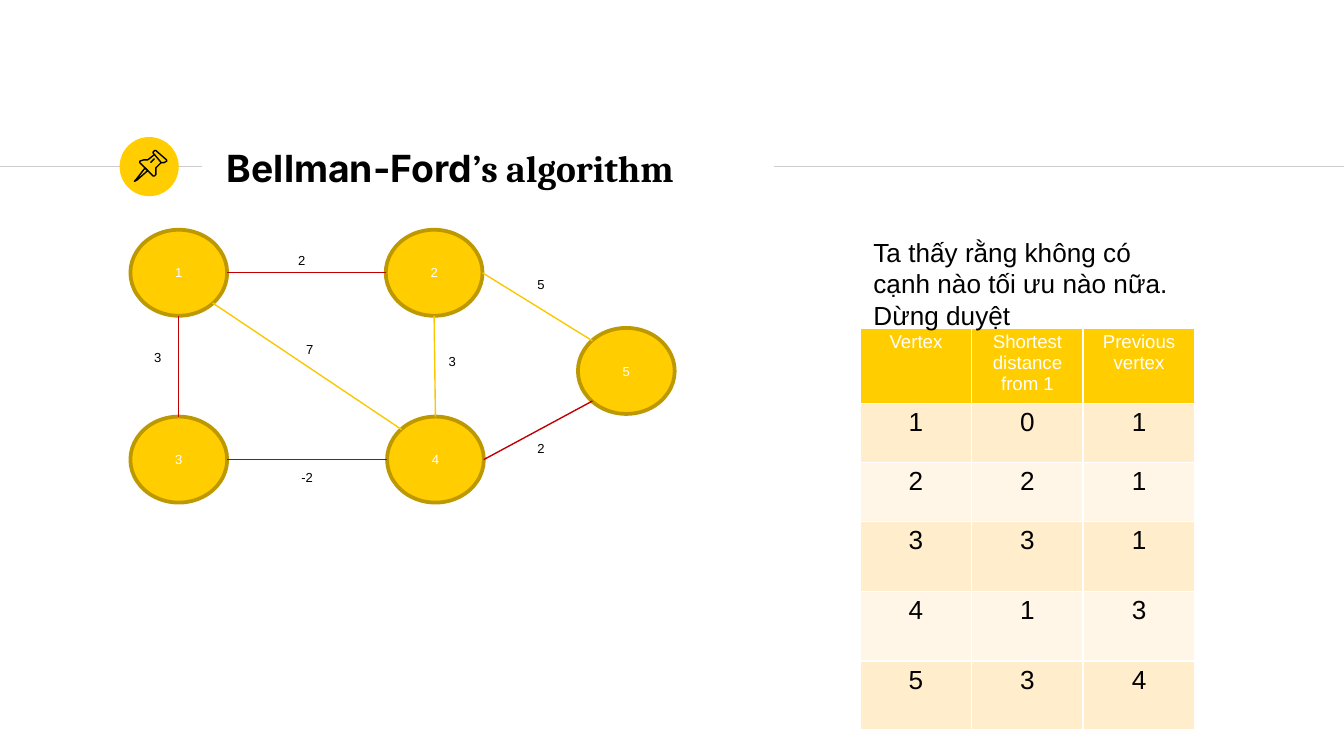
"""Build a slide on the last step of the Bellman-Ford algorithm."""
from lxml.etree import SubElement
from pptx import Presentation
from pptx.dml.color import RGBColor
from pptx.enum.shapes import MSO_CONNECTOR, MSO_SHAPE
from pptx.enum.text import MSO_ANCHOR, PP_ALIGN
from pptx.oxml.ns import qn
from pptx.util import Inches, Pt

COLORS = {
    "yellow": "FFCD00", "rim": "BD9800", "edge": "F9C800", "chosen": "C00000",
    "rule": "CCCCCC", "black": "000000", "white": "FFFFFF",
    "band": "FFEDCC", "light": "FFF6E7",
}


def style_text(para, size, color, font="Arial", align=PP_ALIGN.CENTER):
    para.alignment = align
    for span in para.runs:
        span.font.size = Pt(size)
        span.font.name = font
        span.font.color.rgb = RGBColor.from_string(COLORS[color])


def add_line(start, end, color):
    points = [Inches(value) for value in (*start, *end)]
    line = page.shapes.add_connector(MSO_CONNECTOR.STRAIGHT, *points)
    line.line.color.rgb = RGBColor.from_string(COLORS[color])
    line.line.width = Pt(0.75)
    SubElement(line._element.spPr, qn("a:effectLst"))


deck = Presentation()
deck.slide_width = Inches(10)
deck.slide_height = Inches(10 * 9 / 16)
page = deck.slides.add_slide(deck.slide_layouts[6])

add_line((0, 1.24), (1.5, 1.24), "rule")
badge = page.shapes.add_shape(
    MSO_SHAPE.OVAL, Inches(0.89), Inches(1.02), Inches(0.44), Inches(0.44))
badge.shadow.inherit = False
badge.fill.solid()
badge.fill.fore_color.rgb = RGBColor.from_string(COLORS["yellow"])
badge.line.fill.background()
add_line((5.76, 1.24), (10, 1.24), "rule")

node_width, node_height = 0.72, 0.64
nodes = {1: (0.97, 1.71), 3: (0.97, 3.1), 2: (2.87, 1.71), 4: (2.88, 3.1), 5: (4.3, 2.44)}
for number, (left, top) in nodes.items():
    node = page.shapes.add_shape(
        MSO_SHAPE.OVAL, Inches(left), Inches(top), Inches(node_width), Inches(node_height))
    node.shadow.inherit = False
    node.fill.solid()
    node.fill.fore_color.rgb = RGBColor.from_string(COLORS["yellow"])
    node.line.color.rgb = RGBColor.from_string(COLORS["rim"])
    node.line.width = Pt(2)
    node.text_frame.text = str(number)
    node.text_frame.vertical_anchor = MSO_ANCHOR.MIDDLE
    style_text(node.text_frame.paragraphs[0], 7, "white")

sites = {
    "top": (0.5, 0), "left": (0, 0.5), "bottom": (0.5, 1), "right": (1, 0.5),
    "top left": (0.15, 0.15), "bottom left": (0.15, 0.85), "bottom right": (0.85, 0.85),
}
edges = [
    (1, "right", 2, "left", "chosen", "2", 2.03, 1.83),
    (1, "bottom", 3, "top", "chosen", "3", 0.96, 2.55),
    (3, "right", 4, "left", "chosen", "-2", 2.07, 3.44),
    (2, "bottom", 4, "top", "edge", "3", 3.15, 2.58),
    (2, "right", 5, "top left", "edge", "5", 3.81, 2.01),
    (4, "right", 5, "bottom left", "chosen", "2", 3.81, 3.23),
    (1, "bottom right", 4, "top left", "edge", "7", 2.09, 2.49),
]
for first, first_site, second, second_site, color, weight, left, top in edges:
    start, end = [
        (nodes[number][0] + node_width * sites[site][0],
         nodes[number][1] + node_height * sites[site][1])
        for number, site in ((first, first_site), (second, second_site))]
    add_line(start, end, color)
    label = page.shapes.add_textbox(Inches(left), Inches(top), Inches(0.43), Inches(0.22))
    label.text_frame.word_wrap = True
    label.text_frame.text = weight
    style_text(label.text_frame.paragraphs[0], 7, "black")

title = page.shapes.add_textbox(Inches(1.59), Inches(1.01), Inches(4.25), Inches(0.48))
frame = title.text_frame
frame.word_wrap = True
frame.vertical_anchor = MSO_ANCHOR.MIDDLE
frame.margin_left = frame.margin_right = Inches(0.1)
frame.margin_top = frame.margin_bottom = Inches(0.1)
para = frame.paragraphs[0]
for words in ("Bellman-Ford", "’s algorithm"):
    para.add_run().text = words
style_text(para, 20, "black", "Inter", PP_ALIGN.LEFT)
para.runs[1].font.name = "Cambria"
for span in para.runs:
    span.font.bold = True

pin_parts = [
    ([(108, 125), (101, 134), (100, 135), (102, 134), (110, 127)], True),
    ([(115, 115), (120, 121), (122, 121), (124, 120), (124, 119), (116, 112),
      (115, 112), (114, 113), (114, 114)], True),
    ([(115, 115), (110, 119), (107, 119), (104, 120), (104, 121), (114, 131),
      (115, 131), (116, 130), (116, 125), (120, 121)], False),
    ([(112, 121), (115, 118)], False),
]
for points, closed in pin_parts:
    builder = page.shapes.build_freeform(*points[0], scale=Inches(0.01))
    builder.add_line_segments(points[1:], close=closed)
    part = builder.convert_to_shape()
    part.shadow.inherit = False
    part.fill.background()
    part.line.color.rgb = RGBColor.from_string(COLORS["black"])
    part.line.width = Pt(0.75)

rows = [
    ("Vertex", "Shortest distance from 1", "Previous vertex"),
    ("1", "0", "1"), ("2", "2", "1"), ("3", "3", "1"), ("4", "1", "3"), ("5", "3", "4"),
]
row_heights = [0.54, 0.44, 0.44, 0.52, 0.52, 0.51]
table = page.shapes.add_table(
    len(rows), 3, Inches(6.4), Inches(2.44), Inches(2.49), Inches(2.97)).table
for column in table.columns:
    column.width = Inches(0.83)
for row_index, (texts, height) in enumerate(zip(rows, row_heights)):
    table.rows[row_index].height = Inches(height)
    header = row_index == 0
    fill = "yellow" if header else "band" if row_index % 2 else "light"
    for column_index, words in enumerate(texts):
        cell = table.cell(row_index, column_index)
        cell.margin_left = cell.margin_right = Inches(0.05)
        cell.margin_top = cell.margin_bottom = Inches(0.03)
        properties = cell._tc.get_or_add_tcPr()
        for side in "LRTB":
            border = SubElement(properties, qn(f"a:ln{side}"), w=str(Pt(1)))
            paint = SubElement(border, qn("a:solidFill"))
            SubElement(paint, qn("a:srgbClr"), val=COLORS["white"])
        cell.fill.solid()
        cell.fill.fore_color.rgb = RGBColor.from_string(COLORS[fill])
        cell.text_frame.text = words
        para = cell.text_frame.paragraphs[0]
        style_text(para, 10 if header else 14, "white" if header else "black")
        para.runs[0].font.bold = False

remark = page.shapes.add_textbox(Inches(6.4), Inches(1.71), Inches(2.49), Inches(0.81))
remark.text_frame.word_wrap = True
remark.text_frame.text = "Ta thấy rằng không có cạnh nào tối ưu nào nữa.\nDừng duyệt"
for para in remark.text_frame.paragraphs:
    style_text(para, 14, "black", align=PP_ALIGN.LEFT)

deck.save("out.pptx")
